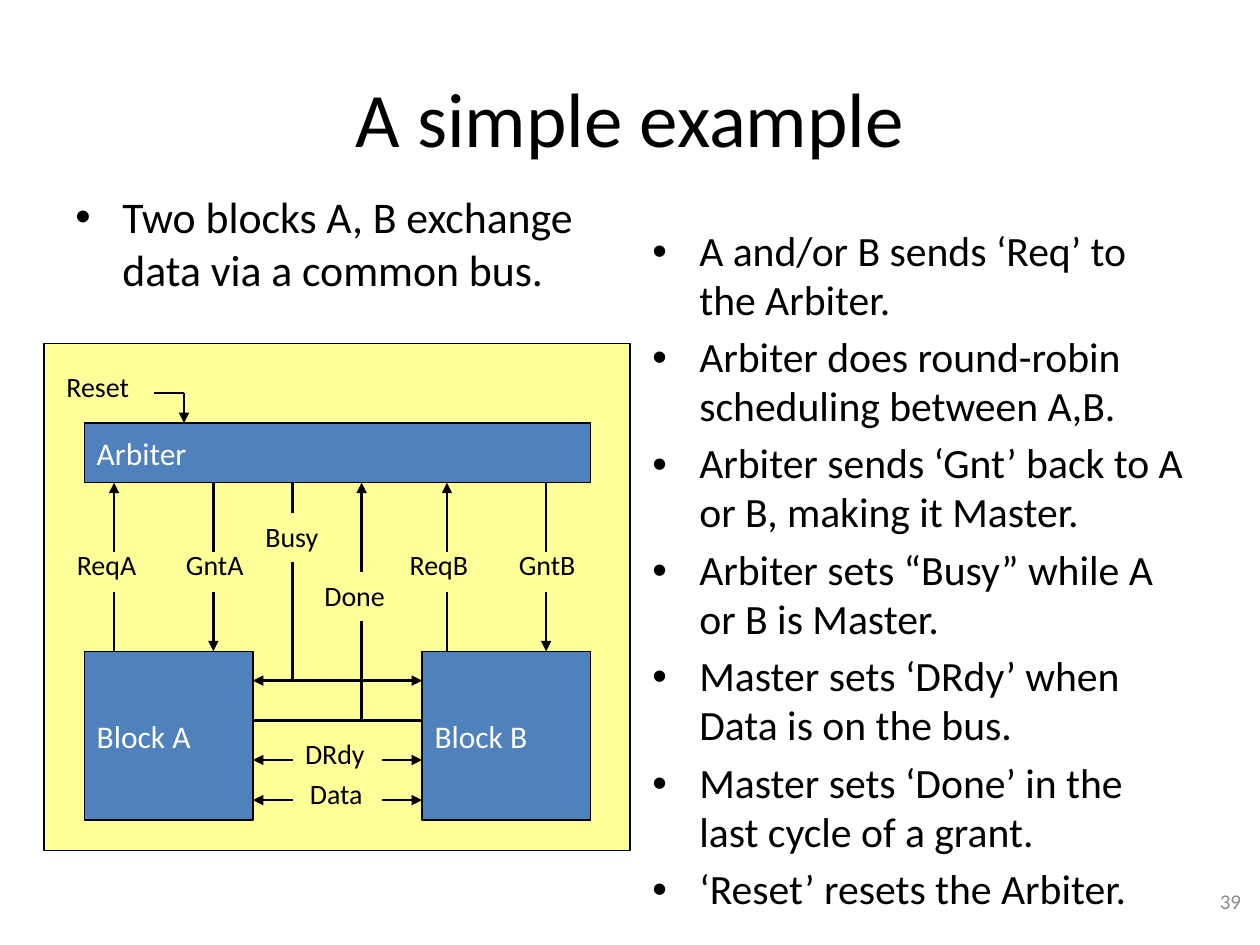
from lxml import etree
from pptx import Presentation
from pptx.dml.color import RGBColor
from pptx.enum.shapes import MSO_CONNECTOR, MSO_SHAPE
from pptx.enum.text import MSO_ANCHOR, PP_ALIGN
from pptx.oxml.ns import qn
from pptx.util import Cm, Pt

STRAIGHT = MSO_CONNECTOR.STRAIGHT
RECTANGLE = MSO_SHAPE.RECTANGLE
TOP, MIDDLE = MSO_ANCHOR.TOP, MSO_ANCHOR.MIDDLE
LEFT, CENTER, RIGHT = PP_ALIGN.LEFT, PP_ALIGN.CENTER, PP_ALIGN.RIGHT

BLACK = RGBColor(0x00, 0x00, 0x00)
WHITE = RGBColor(0xFF, 0xFF, 0xFF)
GREY = RGBColor(0x8C, 0x8C, 0x8C)
YELLOW = RGBColor(0xFF, 0xFF, 0x99)
BLUE = RGBColor(0x4F, 0x81, 0xBD)
FONT = "Calibri"

PROTOCOL = [
    "A and/or B sends ‘Req’ to the Arbiter.",
    "Arbiter does round-robin scheduling between A,B.",
    "Arbiter sends ‘Gnt’ back to A or B, making it Master.",
    "Arbiter sets “Busy” while A or B is Master.",
    "Master sets ‘DRdy’ when Data is on the bus.",
    "Master sets ‘Done’ in the last cycle of a grant.",
    "‘Reset’ resets the Arbiter.",
]

# Diagram grid, in centimetres
ARBITER_TOP, ARBITER_BOTTOM = 8.53, 9.73
BLOCK_TOP, BLOCK_SIZE = 13.13, 3.4
A_LEFT, B_LEFT = 1.7, 8.51
A_RIGHT, B_RIGHT = A_LEFT + BLOCK_SIZE, B_LEFT + BLOCK_SIZE
BUSY_X, BUSY_BUS_Y = 5.9, 13.72
DONE_X, DONE_BUS_Y = 7.29, 14.53
RESET_X, RESET_Y = 3.71, 7.92


def write(frame, text, size=16, color=BLACK, align=LEFT, anchor=TOP,
          bullet=False, line_spacing=None):
    """Fill a text frame; each line of the text becomes a paragraph."""
    frame.word_wrap = True
    frame.vertical_anchor = anchor
    frame.text = text
    for paragraph in frame.paragraphs:
        paragraph.alignment = align
        paragraph.font.name = FONT
        paragraph.font.size = Pt(size)
        paragraph.font.color.rgb = color
        if line_spacing:
            paragraph.line_spacing = line_spacing
        if bullet:
            paragraph.space_before = Pt(round(size * 0.2, 1))
            properties = paragraph._p.get_or_add_pPr()
            properties.set("marL", str(Cm(0.95)))
            properties.set("indent", str(-Cm(0.95)))
            font = etree.Element(qn("a:buFont"), typeface="Arial")
            mark = etree.Element(qn("a:buChar"), char="•")
            default_run = properties.find(qn("a:defRPr"))
            for element in (font, mark):
                default_run.addprevious(element)


class Diagram:
    """Draws on one slide in a shared style, with lengths in centimetres."""

    def __init__(self, slide):
        self.shapes = slide.shapes

    def text(self, text, left, top, width, height, **style):
        box = self.shapes.add_textbox(Cm(left), Cm(top), Cm(width), Cm(height))
        write(box.text_frame, text, **style)

    def label(self, text, left, top):
        self.text(text, left, top, 2.01, 0.94)

    def block(self, left, top, width, height, fill=BLUE, text=""):
        box = self.shapes.add_shape(RECTANGLE, Cm(left), Cm(top), Cm(width), Cm(height))
        box.shadow.inherit = False
        box.fill.solid()
        box.fill.fore_color.rgb = fill
        box.line.color.rgb = BLACK
        box.line.width = Pt(0.75)
        if text:
            write(box.text_frame, text, size=18, color=WHITE, anchor=MIDDLE)

    def wire(self, x1, y1, x2, y2, ends=()):
        """Draw a line; ends may hold headEnd (start) and tailEnd (finish)."""
        wire = self.shapes.add_connector(STRAIGHT, Cm(x1), Cm(y1), Cm(x2), Cm(y2))
        wire.line.color.rgb = BLACK
        wire.line.width = Pt(1.5)
        line = wire.line._get_or_add_ln()
        for end in ends:
            etree.SubElement(line, qn(f"a:{end}"), type="triangle")
        etree.SubElement(wire._element.spPr, qn("a:effectLst"))


START, FINISH = "headEnd", "tailEnd"


def draw_bus(diagram):
    diagram.wire(A_RIGHT, BUSY_BUS_Y, B_LEFT, BUSY_BUS_Y, (START, FINISH))
    diagram.wire(A_RIGHT, DONE_BUS_Y, B_LEFT, DONE_BUS_Y)
    for name, label_x, y in (("DRdy", 5.9, 15.32), ("Data", 6.0, 16.13)):
        diagram.wire(A_RIGHT, y, A_RIGHT + 0.8, y, (START,))
        diagram.wire(B_LEFT - 0.8, y, B_LEFT, y, (FINISH,))
        diagram.label(name, label_x, y - 0.6)


def draw_requests_and_grants(diagram):
    gap_top, gap_bottom = 11.13, 11.94
    for name, block_left in (("A", A_LEFT), ("B", B_LEFT - 0.1)):
        request_x, grant_x = block_left + 0.6, block_left + 2.6
        diagram.wire(request_x, gap_top, request_x, ARBITER_BOTTOM, (FINISH,))
        diagram.wire(request_x, BLOCK_TOP, request_x, gap_bottom)
        diagram.wire(grant_x, ARBITER_BOTTOM, grant_x, gap_top)
        diagram.wire(grant_x, gap_bottom, grant_x, BLOCK_TOP, (FINISH,))
        diagram.label(f"Req{name}", request_x - 1, 10.92)
        diagram.label(f"Gnt{name}", grant_x - 0.8, 10.92)


def draw_status(diagram):
    signals = (
        ("Busy", BUSY_X, 0.8, 10.34, BUSY_BUS_Y, ()),
        ("Done", DONE_X, 1, 11.53, DONE_BUS_Y, (FINISH,)),
    )
    for name, x, label_offset, gap_top, bus_y, ends in signals:
        diagram.wire(x, gap_top, x, ARBITER_BOTTOM, ends)
        diagram.wire(x, gap_top + 0.99, x, bus_y)
        diagram.label(name, x - label_offset, gap_top)


def draw_reset(diagram):
    diagram.label("Reset", 1.09, RESET_Y - 0.6)
    diagram.wire(RESET_X - 0.6, RESET_Y, RESET_X, RESET_Y)
    diagram.wire(RESET_X, RESET_Y, RESET_X, ARBITER_TOP, (FINISH,))


def main():
    deck = Presentation()
    deck.slide_width, deck.slide_height = Cm(25.4), Cm(19.05)
    diagram = Diagram(deck.slides.add_slide(deck.slide_layouts[6]))

    diagram.text("A simple example", 1.27, 0.76, 22.86, 3.18,
                 size=44, align=CENTER, anchor=MIDDLE)
    diagram.text("Two blocks A, B exchange data via a common bus.",
                 1.27, 3.71, 11.23, 3, size=25, bullet=True)
    diagram.text("\n".join(PROTOCOL), 12.9, 4.45, 11.23, 12.57,
                 size=23.8, bullet=True, line_spacing=0.98)

    diagram.block(0.89, 6.93, 11.81, 10.21, fill=YELLOW)
    diagram.block(A_LEFT, ARBITER_TOP, B_RIGHT - A_LEFT,
                  ARBITER_BOTTOM - ARBITER_TOP, text="Arbiter")
    for name, left in (("Block A", A_LEFT), ("Block B", B_LEFT)):
        diagram.block(left, BLOCK_TOP, BLOCK_SIZE, BLOCK_SIZE, text=name)

    draw_bus(diagram)
    draw_requests_and_grants(diagram)
    draw_status(diagram)
    draw_reset(diagram)

    diagram.text("39", 23.72, 17.65, 1.55, 1.02,
                 size=12, color=GREY, align=RIGHT, anchor=MIDDLE)
    deck.save("out.pptx")


if __name__ == "__main__":
    main()
